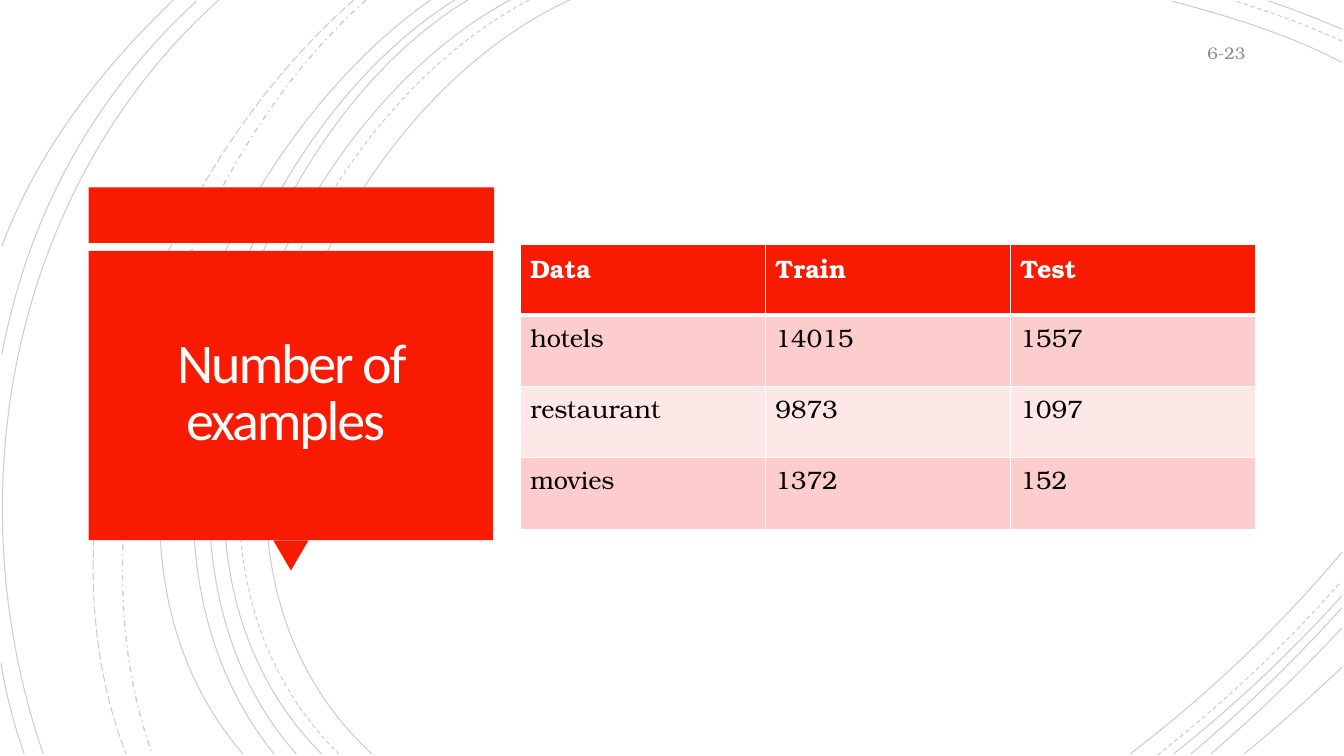
from dataclasses import dataclass
from typing import Any

import pptx
import pptx.dml.color
import pptx.enum.dml
import pptx.enum.shapes
import pptx.enum.text
import pptx.oxml
import pptx.oxml.ns
import pptx.util
from pptx.util import Inches

RGB = pptx.dml.color.RGBColor
RED = RGB(0xF8, 0x1B, 0x02)
ROSE = RGB(0xFC, 0xCD, 0xCC)
PALE = RGB(0xFE, 0xE8, 0xE7)
WHITE = RGB(0xFF, 0xFF, 0xFF)
SNOW = RGB(0xFF, 0xFE, 0xFF)
BLACK = RGB(0x00, 0x00, 0x00)
GRAY = RGB(0x8C, 0x8C, 0x8C)

SERIF = "TeX Gyre Bonum"
DASH = pptx.enum.dml.MSO_LINE
FORM = pptx.enum.shapes.MSO_SHAPE
ALIGN = pptx.enum.text.PP_ALIGN
MIDDLE = pptx.enum.text.MSO_ANCHOR.MIDDLE
NS = pptx.oxml.ns.nsdecls("a")
qn = pptx.oxml.ns.qn

Point = tuple[float, float]


@dataclass
class Arc:
    """A cubic curve: start, two control points, end."""
    points: tuple[Point, Point, Point, Point]
    dash: Any = DASH.SOLID
    width: float = 0.75


@dataclass
class Block:
    form: Any
    left: float
    top: float
    width: float
    height: float
    turn: float = 0


ARCS = [
    Arc(((5.65, 0), (3.15, 1.15), (1.43, 5.4), (3.69, 7.48))),
    Arc(((13.31, 0.62), (12.78, 0.34), (12.18, 0.16), (11.62, 0.01))),
    Arc(((11.21, 7.48), (11.97, 6.9), (12.69, 6.22), (13.31, 5.48))),
    Arc(((5.25, 0), (2.85, 1.25), (1.23, 5.37), (3.36, 7.48)), DASH.DASH),
    Arc(((13.31, 0.41), (12.97, 0.25), (12.6, 0.12), (12.25, 0.01)), DASH.DASH),
    Arc(((11.48, 7.49), (12.13, 6.98), (12.75, 6.4), (13.3, 5.77)), DASH.DASH),
    Arc(((5.06, 0), (2.7, 1.27), (1.1, 5.37), (3.19, 7.48))),
    Arc(((13.31, 0.29), (13.07, 0.19), (12.83, 0.09), (12.58, 0.01))),
    Arc(((11.64, 7.48), (12.23, 7.01), (12.8, 6.48), (13.31, 5.91))),
    Arc(((4.64, 0), (2.44, 1.33), (1.1, 5.41), (2.94, 7.48))),
    Arc(((11.81, 7.48), (12.34, 7.04), (12.84, 6.55), (13.31, 6.03))),
    Arc(((4.51, 0), (2.31, 1.38), (0.97, 5.33), (2.72, 7.48))),
    Arc(((12.01, 7.48), (12.46, 7.09), (12.9, 6.67), (13.31, 6.23))),
    Arc(((4.27, 0), (2.17, 1.47), (0.53, 5.29), (2.41, 7.48))),
    Arc(((12.34, 7.48), (12.67, 7.21), (12.99, 6.92), (13.31, 6.62))),
    Arc(((3.63, 0), (1.76, 1.66), (0.65, 5.09), (1.51, 7.48)), DASH.DASH_DOT, 1),
    Arc(((3.51, 0), (1.57, 1.69), (0.29, 4.99), (1.25, 7.48)), DASH.LONG_DASH),
    Arc(((2.17, 0), (0.11, 1.85), (-0.46, 4.9), (0.43, 7.48))),
    Arc(((1.95, 0.01), (0.92, 0.96), (0.28, 2.14), (0.02, 3.51))),
    Arc(((0.01, 6.58), (0.06, 6.89), (0.14, 7.19), (0.24, 7.48))),
    Arc(((1.72, 0), (1, 0.69), (0.37, 1.5), (0.02, 2.44))),
]

BLOCKS = [
    Block(FORM.RECTANGLE, 0.88, 1.86, 4.02, 0.55),
    Block(FORM.ISOSCELES_TRIANGLE, 2.71, 5.36, 0.35, 0.3, 180),
    Block(FORM.RECTANGLE, 0.88, 2.49, 4.01, 2.87),
]

ROWS = [
    ("Data", "Train", "Test"),
    ("hotels", "14015", "1557"),
    ("restaurant", "9873", "1097"),
    ("movies", "1372", "152"),
]


def apply(item: Any, values: dict[str, Any]) -> None:
    for name, value in values.items():
        setattr(item, name, value)


def style(font: Any, name: str, size: float, color: RGB, bold: bool = False) -> None:
    apply(font, {"name": name, "size": pptx.util.Pt(size), "bold": bold})
    font.color.rgb = color


def place(shape: Any, left: float, top: float, width: float, height: float) -> None:
    apply(shape, {"left": Inches(left), "top": Inches(top),
                  "width": Inches(width), "height": Inches(height)})


def draw_arc(slide: Any, arc: Arc) -> None:
    """Draw the control polygon, then bend its three sides into one curve."""
    start, *rest = [(Inches(x), Inches(y)) for x, y in arc.points]
    pen = slide.shapes.build_freeform(*start)
    pen.add_line_segments(rest, close=False)
    shape = pen.convert_to_shape()
    sides = list(shape._element.iter(qn("a:lnTo")))
    curve = pptx.oxml.parse_xml(f"<a:cubicBezTo {NS}/>")
    sides[0].addprevious(curve)
    for side in sides:
        curve.append(side[0])
        side.getparent().remove(side)
    shape.shadow.inherit = False
    shape.fill.background()
    shape.line.color.rgb = BLACK
    apply(shape.line, {"width": pptx.util.Pt(arc.width), "dash_style": arc.dash})
    tint = shape.line._ln.find(".//" + qn("a:srgbClr"))
    tint.append(pptx.oxml.parse_xml(f'<a:alpha {NS} val="20000"/>'))


def draw_block(slide: Any, block: Block) -> None:
    box = [Inches(n) for n in (block.left, block.top, block.width, block.height)]
    shape = slide.shapes.add_shape(block.form, *box)
    shape.rotation = block.turn
    shape.shadow.inherit = False
    shape.fill.solid()
    shape.fill.fore_color.rgb = RED
    shape.line.fill.background()


def draw_title(slide: Any) -> None:
    title = slide.shapes.title
    slide.shapes._spTree.append(title._element)
    place(title, 0.97, 2.57, 3.83, 2.69)
    frame = title.text_frame
    frame.text = "Number of examples "
    sides = ("left", "top", "right", "bottom")
    apply(frame, {f"margin_{side}": Inches(0.25) for side in sides})
    apply(frame, {"vertical_anchor": MIDDLE, "word_wrap": True,
                  "auto_size": pptx.enum.text.MSO_AUTO_SIZE.NONE})
    para = frame.paragraphs[0]
    apply(para, {"alignment": ALIGN.CENTER, "line_spacing": 0.85})
    run = para.runs[0]
    style(run.font, "Calibri", 40, SNOW)
    run._r.get_or_add_rPr().set("spc", "-150")


def add_edge(cell: Any, side: str, width: float) -> None:
    cell._tc.get_or_add_tcPr().append(pptx.oxml.parse_xml(
        f'<a:ln{side} {NS} w="{pptx.util.Pt(width)}"><a:solidFill>'
        f'<a:srgbClr val="{WHITE}"/></a:solidFill></a:ln{side}>'))


def draw_table(slide: Any) -> None:
    box = [Inches(n) for n in (5.16, 2.42, 7.29, 2.83)]
    table = slide.shapes.add_table(len(ROWS), len(ROWS[0]), *box).table
    for r, row in enumerate(ROWS):
        head = r == 0
        fill = RED if head else ROSE if r % 2 else PALE
        for c, text in enumerate(row):
            cell = table.cell(r, c)
            cell.text = text
            style(cell.text_frame.paragraphs[0].runs[0].font, SERIF, 18,
                  WHITE if head else BLACK, head)
            edges = {"L": 1, "R": 1, "T": 3 if r == 1 else 1, "B": 3 if head else 1}
            for side, width in edges.items():
                add_edge(cell, side, width)
            cell.fill.solid()
            cell.fill.fore_color.rgb = fill


def draw_number(slide: Any) -> None:
    box = [Inches(n) for n in (11.45, 0.35, 1, 0.35)]
    frame = slide.shapes.add_textbox(*box).text_frame
    apply(frame, {"text": "6-23", "word_wrap": True, "vertical_anchor": MIDDLE})
    para = frame.paragraphs[0]
    para.alignment = ALIGN.RIGHT
    style(para.runs[0].font, SERIF, 12, GRAY)


def main() -> None:
    deck = pptx.Presentation()
    apply(deck, {"slide_width": Inches(13.33), "slide_height": Inches(7.5)})
    slide = deck.slides.add_slide(deck.slide_layouts[5])
    for arc in ARCS:
        draw_arc(slide, arc)
    for block in BLOCKS:
        draw_block(slide, block)
    draw_title(slide)
    draw_table(slide)
    draw_number(slide)
    deck.save("out.pptx")


if __name__ == "__main__":
    main()
